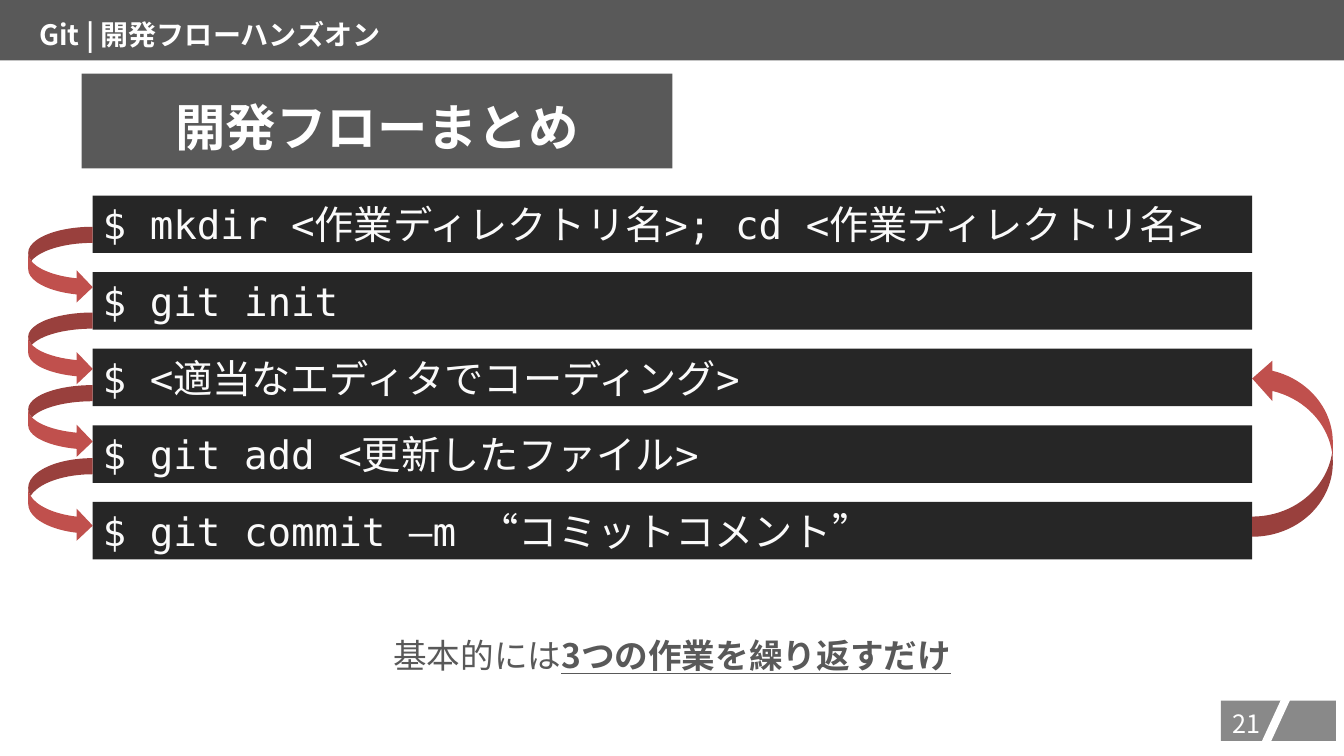
"""Build the slide that sums up the Git workflow."""
from lxml import etree
from pptx import Presentation
from pptx import util as u
from pptx.dml.color import RGBColor
from pptx.enum import shapes, text
from pptx.oxml import ns

HUES = {"grey": "595959", "dark": "262626", "pale": "FAFAFA",
        "white": "FFFFFF", "red": "C0504D", "page": "898989"}
SANS, MONO = "Noto Sans CJK JP", "DejaVu Sans Mono"
STEPS = ["$ mkdir <作業ディレクトリ名>; cd <作業ディレクトリ名>",
         "$ git init",
         "$ <適当なエディタでコーディング>",
         "$ git add <更新したファイル>",
         "$ git commit –m “コミットコメント”"]


def hue(name):
    """Return the named colour."""
    return RGBColor.from_string(HUES[name])


def place(box):
    """Turn a box in inches into lengths."""
    return [u.Inches(n) for n in box]


def block(slide, box, fill, kind=shapes.MSO_SHAPE.RECTANGLE):
    """Add a flat filled shape."""
    shape = slide.shapes.add_shape(kind, *place(box))
    shape.shadow.inherit = False
    shape.fill.solid()
    shape.fill.fore_color.rgb = hue(fill)
    shape.line.fill.background()
    return shape


def write(shape, *parts, size=24, color="white", font=SANS, bold=False, mid=False,
          pad=(0.1, 0.05, 0.1, 0.05), before=0, grow=False):
    """Write parts on one line, with every part after the first stressed."""
    frame = shape.text_frame
    frame.word_wrap = True
    frame.vertical_anchor = text.MSO_ANCHOR.MIDDLE
    if grow:
        frame.auto_size = text.MSO_AUTO_SIZE.SHAPE_TO_FIT_TEXT
    (frame.margin_left, frame.margin_top,
     frame.margin_right, frame.margin_bottom) = place(pad)
    line = frame.paragraphs[0]
    line.alignment = text.PP_ALIGN.CENTER if mid else text.PP_ALIGN.LEFT
    line.space_before = u.Pt(before)
    for spot, part in enumerate(parts):
        run = line.add_run()
        run.text = part
        run.font.size = u.Pt(size)
        run.font.bold = bold or spot > 0
        run.font.underline = spot > 0
        run.font.color.rgb = hue(color)
        run.font.name = font
        east = etree.SubElement(run.font._element, ns.qn("a:ea"))
        east.set("typeface", SANS)


def header(slide, box):
    """Draw the top band and the title plate below it."""
    x, y, w, h = box
    write(block(slide, box, "grey"), "Git | 開発フローハンズオン",
          size=20, bold=True, pad=(0.39, 0.08, 0, 0))
    plate = block(slide, (x + 0.81, y + h + 0.13, 5.86, 0.94), "grey")
    write(plate, "開発フローまとめ", size=36, bold=True, mid=True,
          pad=(0.1, 0.16, 0.1, 0.05))


def arrow(slide, mid, span, depth, flip):
    """Draw a curved arrow turned upright about its middle."""
    x, y = mid
    shape = block(slide, (x - span / 2, y - depth / 2, span, depth), "red",
                  shapes.MSO_SHAPE.CURVED_DOWN_ARROW)
    shape.rotation = 90
    shape._element.spPr.find(ns.qn("a:xfrm")).set(flip, "1")


def flow(slide, box):
    """Draw the command bars and the arrows that link them."""
    x, y, w, h = box
    tall = 0.57
    pitch = (h - tall) / (len(STEPS) - 1)
    for row, step in enumerate(STEPS):
        bar = block(slide, (x, y + row * pitch, w, tall), "dark")
        write(bar, step, size=28, color="pale", font=MONO, before=10, grow=True)
    for drop, span in ((3.02, 0.83), (2.24, 0.72), (1.52, 0.72), (0.69, 0.76)):
        arrow(slide, (x - 0.32, y + drop), span, 0.64, "flipV")
    arrow(slide, (x + w + 0.4, y + 2.5), 1.77, 0.8, "flipH")


def note(slide, box):
    """Write the closing remark."""
    write(slide.shapes.add_textbox(*place(box)), "基本的には",
          "3つの作業を繰り返すだけ", color="grey", mid=True, grow=True)


def page(slide, box):
    """Draw the page mark with its slash and number."""
    x, y, w, h = box
    block(slide, box, "page")
    ends = place((x + 0.66, y - 0.05, x + 0.43, y + 0.45))
    slash = slide.shapes.add_connector(shapes.MSO_CONNECTOR.STRAIGHT, *ends)
    slash.line.color.rgb = hue("white")
    slash.line.width = u.Pt(6)
    etree.SubElement(slash._element.spPr, ns.qn("a:effectLst"))
    label = slide.shapes.add_textbox(*place((x - 0.04, y + 0.03, 0.58, h)))
    write(label, "21", size=18, mid=True, pad=(0, 0, 0, 0))


def main():
    """Build and save the deck."""
    deck = Presentation()
    deck.slide_width, deck.slide_height = place((13.33, 7.5))
    slide = deck.slides.add_slide(deck.slide_layouts[6])
    header(slide, (0, 0, 13.33, 0.6))
    flow(slide, (0.92, 1.94, 11.5, 3.61))
    note(slide, (3.57, 6.25, 6.19, 0.5))
    page(slide, (12.11, 6.95, 1.14, 0.4))
    deck.save("out.pptx")


if __name__ == "__main__":
    main()
